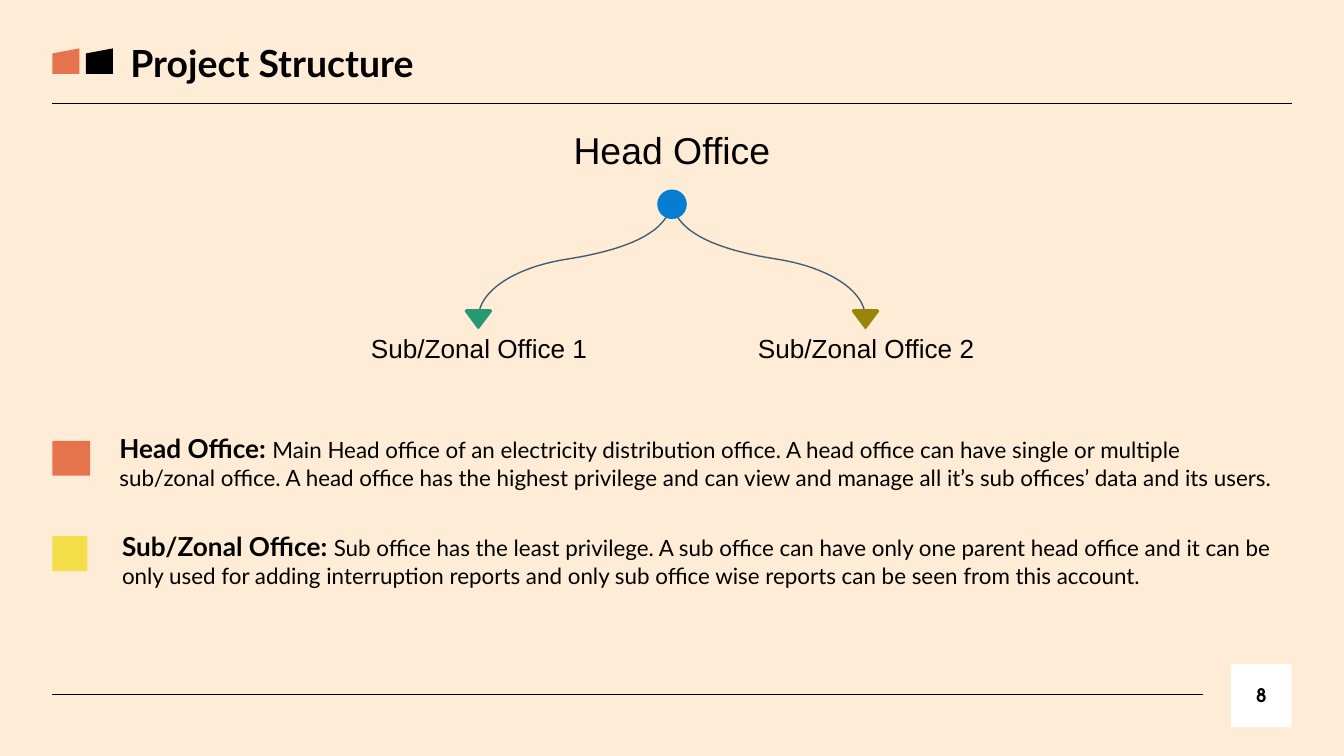
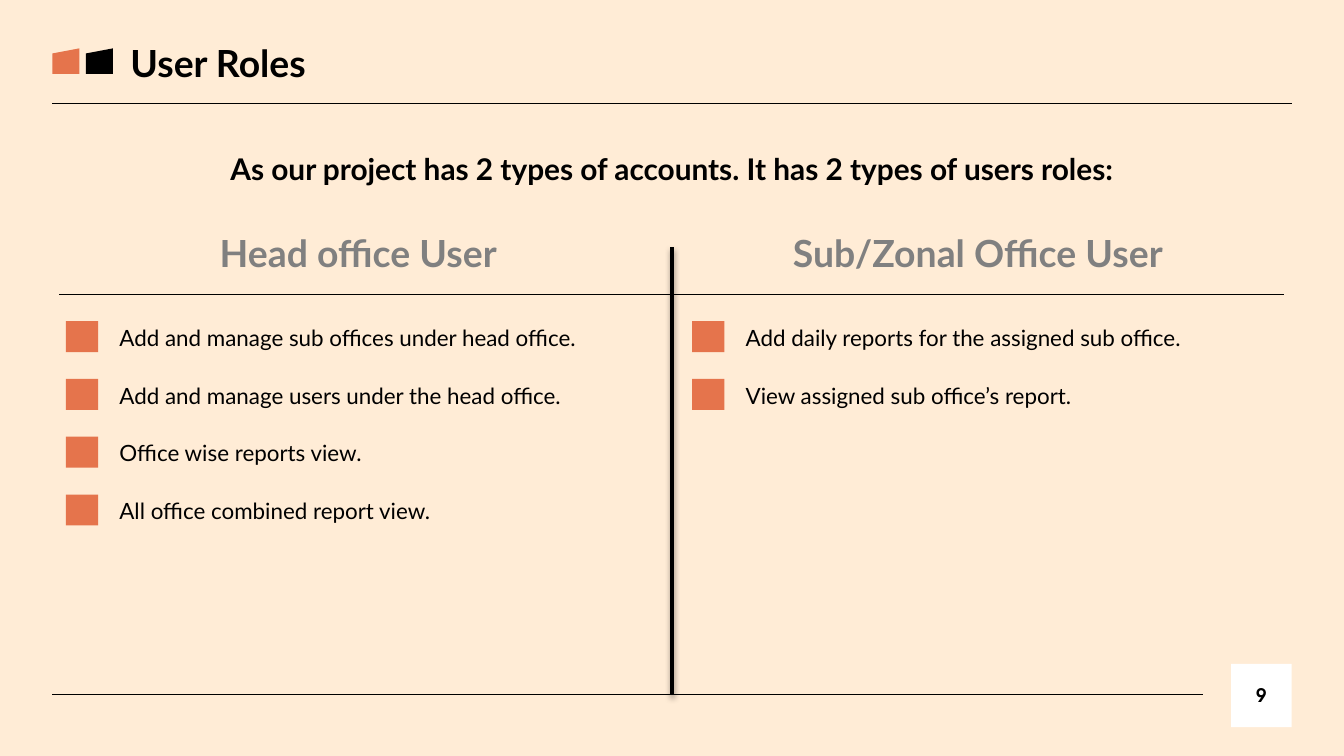
"""Build two slides on the project structure and the user roles."""
import lxml.etree
import pptx
import pptx.dml.color
import pptx.enum.shapes
import pptx.enum.text
import pptx.oxml.ns
import pptx.util

Inches = pptx.util.Inches
Pt = pptx.util.Pt
RGBColor = pptx.dml.color.RGBColor
SHAPE = pptx.enum.shapes.MSO_SHAPE
ALIGN = pptx.enum.text.PP_ALIGN
ANCHOR = pptx.enum.text.MSO_ANCHOR

CREAM = RGBColor(0xFF, 0xEC, 0xD6)
BLACK = RGBColor(0, 0, 0)
WHITE = RGBColor(0xFF, 0xFF, 0xFF)
GRAY = RGBColor(0x80, 0x80, 0x80)
ORANGE = RGBColor(0xE5, 0x74, 0x4C)
YELLOW = RGBColor(0xF4, 0xDF, 0x4A)
SLATE = RGBColor(0x43, 0x5D, 0x74)
BLUE = RGBColor(0x05, 0x7E, 0xD2)
GREEN = RGBColor(0x26, 0x98, 0x72)
OLIVE = RGBColor(0x96, 0x85, 0x09)

BODY_FONT = "Lato"
NUMBER_FONT = "TeX Gyre Adventor"
CHART_FONT = "Arial"

LEFT, RIGHT, MIDDLE = 0.39, 9.61, 5
ROW_TOP, ROW_STEP = 2.31, 0.43
TRIANGLE = [(-0.1, 0.01), (-0.09, 0), (0.09, 0), (0.1, 0.01),
            (0.1, 0.02), (0.01, 0.14), (0, 0.15), (-0.01, 0.14), (-0.1, 0.02)]
BRANCH = [[(0, 1.47), (0, 1.7), (0.27, 1.85), (0.79, 1.93)],
          [(0.79, 1.93), (1.16, 1.99), (1.44, 2.16), (1.44, 2.37)]]


def write_text(shape, pieces, align=ALIGN.LEFT, anchor=ANCHOR.TOP,
               font=BODY_FONT, color=BLACK, inset=0.1):
    """Write one paragraph of (text, size, bold) pieces."""
    frame = shape.text_frame
    frame.word_wrap = True
    frame.auto_size = pptx.enum.text.MSO_AUTO_SIZE.NONE
    frame.vertical_anchor = anchor
    frame.margin_left = Inches(inset)
    frame.margin_top = frame.margin_right = frame.margin_bottom = Inches(0.1)
    para = frame.paragraphs[0]
    para.alignment = align
    for text, size, bold in pieces:
        span = para.add_run()
        span.text = text
        span.font.name = font
        span.font.size = Pt(size)
        span.font.bold = bold
        span.font.color.rgb = color


def add_text(page, area, pieces, **style):
    """Add a text box at area (left, top, width, height)."""
    box = page.shapes.add_textbox(*map(Inches, area))
    write_text(box, pieces, **style)


def paint(shape, color):
    """Give a shape a plain fill without line or shadow."""
    shape.shadow.inherit = False
    shape.fill.solid()
    shape.fill.fore_color.rgb = color
    shape.line.fill.background()


def add_block(page, kind, area, color):
    """Add a filled preset shape."""
    block = page.shapes.add_shape(kind, *map(Inches, area))
    paint(block, color)
    return block


def add_rule(page, start, end, width=0.75, shadow=False):
    """Add a straight black line, with a soft shadow on request."""
    rule = page.shapes.add_connector(
        pptx.enum.shapes.MSO_CONNECTOR.STRAIGHT, *map(Inches, start + end))
    rule.line.color.rgb = BLACK
    rule.line.width = Pt(width)
    qn = pptx.oxml.ns.qn
    effects = lxml.etree.SubElement(rule.element.spPr, qn("a:effectLst"))
    if shadow:
        outer = lxml.etree.SubElement(
            effects, qn("a:outerShdw"), blurRad=str(Pt(3.1)),
            dist=str(Pt(1.6)), dir="5400000", rotWithShape="0")
        black = lxml.etree.SubElement(outer, qn("a:srgbClr"), val="000000")
        lxml.etree.SubElement(black, qn("a:alpha"), val="38000")


def add_outline(page, points, close):
    """Add a freeform through points given in inches."""
    corners = [(Inches(x), Inches(y)) for x, y in points]
    builder = page.shapes.build_freeform(*corners[0])
    builder.add_line_segments(corners[1:], close=close)
    return builder.convert_to_shape()


def curve_points(controls, steps=20):
    """Return points along a cubic curve."""
    points = []
    for step in range(steps + 1):
        t = step / steps
        weights = ((1 - t) ** 3, 3 * t * (1 - t) ** 2, 3 * t * t * (1 - t), t ** 3)
        points.append(tuple(sum(weight * control[axis] for weight, control
                                in zip(weights, controls)) for axis in (0, 1)))
    return points


def add_branch(page, side):
    """Draw the curve from the head office to the left (-1) or right (1)."""
    points = curve_points(BRANCH[0]) + curve_points(BRANCH[1])[1:]
    branch = add_outline(page, [(MIDDLE + side * x, y) for x, y in points], False)
    branch.shadow.inherit = False
    branch.fill.background()
    branch.line.color.rgb = SLATE
    branch.line.width = Pt(0.75)


def add_sub_office(page, side, color, name):
    """Draw the triangle and the name of a sub office."""
    center = MIDDLE + side * 1.44
    paint(add_outline(page, [(center + x, 2.3 + y) for x, y in TRIANGLE], True), color)
    add_text(page, (center - 0.93, 2.37, 1.87, 0.42), [(name, 14, False)],
             align=ALIGN.CENTER, font=CHART_FONT)


def add_page(deck, title, number):
    """Add a slide with its title, title marks, rules and page number."""
    page = deck.slides.add_slide(deck.slide_layouts[5])
    add_rule(page, (RIGHT, 0.77), (LEFT, 0.77))
    add_rule(page, (8.95, 5.17), (LEFT, 5.17))
    badge = add_block(page, SHAPE.RECTANGLE, (9.16, 4.94, 0.45, 0.47), WHITE)
    write_text(badge, [(number, 10, True)], align=ALIGN.CENTER,
               anchor=ANCHOR.MIDDLE, font=NUMBER_FONT)
    heading = page.shapes.title
    heading.left, heading.top = Inches(0.87), Inches(0.2)
    heading.width, heading.height = Inches(4.5), Inches(0.44)
    write_text(heading, [(title, 20, True)])
    for left, color in ((LEFT, ORANGE), (0.64, BLACK)):
        add_block(page, SHAPE.FLOWCHART_MANUAL_INPUT, (left, 0.36, 0.2, 0.19), color)
    return page


def add_definition(page, area, term, meaning, marker, color):
    """Add a bold term with its meaning and a coloured marker."""
    add_text(page, area, [(term + ": ", 14, True), (meaning, 12, False)])
    add_block(page, SHAPE.RECTANGLE, marker, color)


def add_role(page, left, name, duties):
    """Add a column with a role name and its marked duties."""
    add_text(page, (left, 1.61, 4.61, 0.47), [(name, 20, True)],
             align=ALIGN.CENTER, color=GRAY, inset=0.04)
    marker_left = 0.49 if left < MIDDLE else 5.15
    for row, duty in enumerate(duties):
        top = ROW_TOP + row * ROW_STEP
        add_text(page, (marker_left + 0.3, top, 4.02, 0.41), [(duty, 12, False)])
        add_block(page, SHAPE.RECTANGLE, (marker_left, top + 0.08, 0.24, 0.23), ORANGE)


def build_structure(deck):
    """Build the slide with the office tree and definitions."""
    page = add_page(deck, "Project Structure", "8")
    for side in (-1, 1):
        add_branch(page, side)
    add_block(page, SHAPE.OVAL, (4.89, 1.41, 0.22, 0.22), BLUE)
    add_text(page, (3.3, 0.85, 3.4, 0.57), [("Head Office", 20, False)],
             align=ALIGN.CENTER, font=CHART_FONT)
    add_sub_office(page, -1, GREEN, "Sub/Zonal Office 1")
    add_sub_office(page, 1, OLIVE, "Sub/Zonal Office 2")
    add_definition(
        page, (0.79, 3.12, 8.83, 0.68), "Head Office",
        "Main Head office of an electricity distribution office. A head office can "
        "have single or multiple sub/zonal office. A head office has the highest "
        "privilege and can view and manage all it’s sub offices’ data and its users.",
        (LEFT, 3.28, 0.28, 0.26), ORANGE)
    add_definition(
        page, (0.81, 3.85, 8.8, 0.85), "Sub/Zonal Office",
        "Sub office has the least privilege. A sub office can have only one parent "
        "head office and it can be only used for adding interruption reports and "
        "only sub office wise reports can be seen from this account.",
        (LEFT, 3.99, 0.26, 0.26), YELLOW)


def build_roles(deck):
    """Build the slide that compares the two user roles."""
    page = add_page(deck, "User Roles", "9")
    lead = "As our project has 2 types of accounts. It has 2 types of users roles:"
    add_text(page, (LEFT, 1.02, 9.22, 0.44), [(lead, 16, True)], align=ALIGN.CENTER)
    add_rule(page, (MIDDLE, 1.84), (MIDDLE, 5.17), width=2, shadow=True)
    add_rule(page, (0.44, 2.19), (9.55, 2.19))
    add_role(page, LEFT, "Head office User", [
        "Add and manage sub offices under head office.",
        "Add and manage users under the head office.",
        "Office wise reports view.",
        "All office combined report view."])
    add_role(page, MIDDLE, "Sub/Zonal Office User", [
        "Add daily reports for the assigned sub office.",
        "View assigned sub office’s report."])


def main():
    """Build and save the deck."""
    deck = pptx.Presentation()
    deck.slide_width = Inches(10)
    deck.slide_height = Inches(10) * 9 // 16
    backdrop = deck.slide_master.background.fill
    backdrop.solid()
    backdrop.fore_color.rgb = CREAM
    build_structure(deck)
    build_roles(deck)
    deck.save("out.pptx")


if __name__ == "__main__":
    main()
